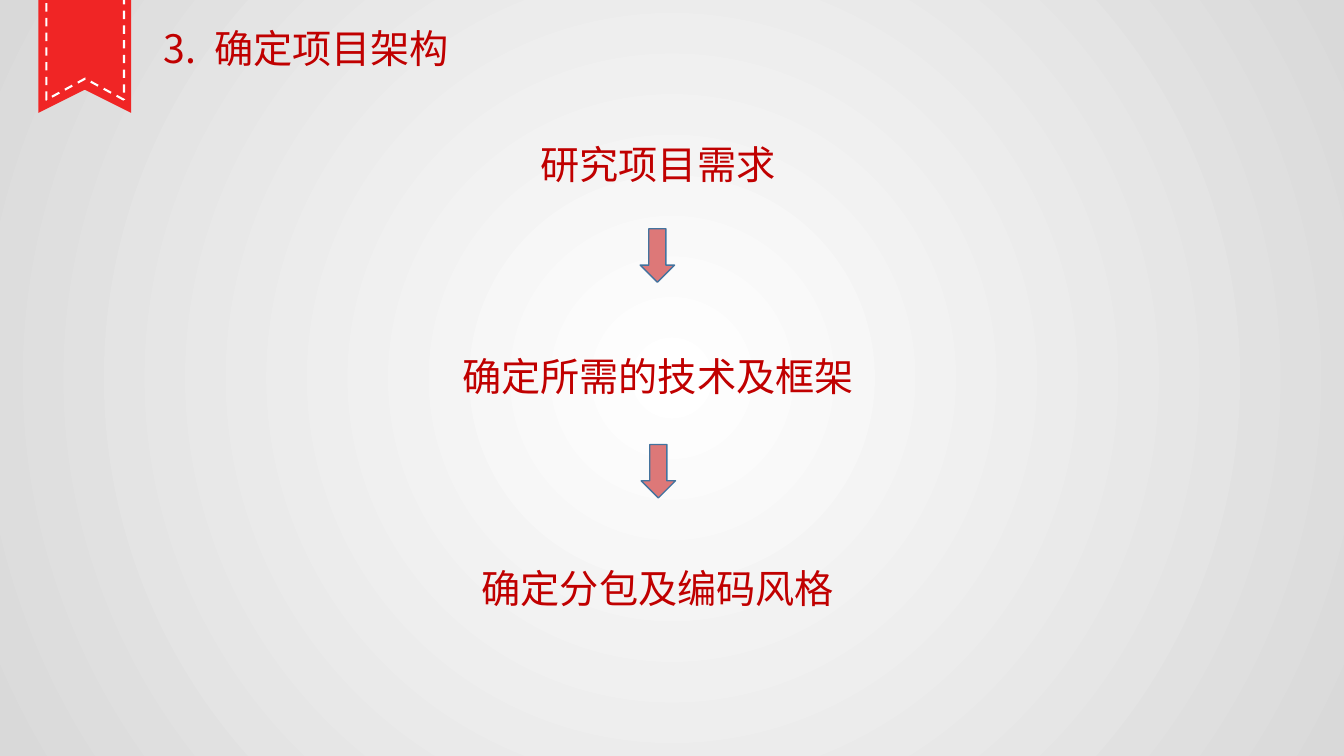
"""Build the slide on settling the project architecture."""
from dataclasses import dataclass

from lxml.etree import SubElement
from pptx import Presentation
from pptx.dml.color import RGBColor as Rgb
from pptx.enum.dml import MSO_LINE_DASH_STYLE as Dash
from pptx.enum.shapes import MSO_SHAPE as Preset
from pptx.enum.text import MSO_AUTO_SIZE as AutoSize, PP_ALIGN as Align
from pptx.oxml.ns import qn
from pptx.util import Inches, Pt

COLORS = {
    "ribbon": "F02525",
    "stitch": "FFFFFF",
    "text": "C00000",
    "arrow": "DD7878",
    "arrow_line": "43739E",
    "center": "FFFFFF",
    "edge": "D9D9D9",
}
FONT = "Noto Sans CJK SC"
TEXT_FORMAT = {"size": Pt(28), "name": FONT}
STEPS = ["研究项目需求", "确定所需的技术及框架", "确定分包及编码风格"]


@dataclass
class Band:
    """Notched ribbon outline, with an optional fill or dashed line."""
    left: float
    right: float
    top: float
    bottom: float
    notch: float
    fill: str = ""
    line: str = ""


@dataclass
class Label:
    """Text box whose paragraphs are lists of spans."""
    left: float
    top: float
    width: float
    height: float
    lines: list[list[str]]
    format: dict


@dataclass
class Arrow:
    """Position of a downward arrow."""
    left: float
    top: float


BANDS = [
    Band(0.38, 1.3, -2.38, 1.12, 0.89, fill="ribbon"),
    Band(0.46, 1.23, -2.28, 0.99, 0.78, line="stitch"),
]
LABELS = [
    Label(1.44, 0.19, 3.2, 0.57, [["3.", " ", "确定项目架构"]], {}),
    Label(3.77, 1.11, 5.51, 5.05, [[step] for step in STEPS],
          {"line_spacing": 1.5, "space_before": Pt(101)}),
]
ARROWS = [Arrow(6.35, 2.27), Arrow(6.36, 4.41)]


def color(name: str) -> Rgb:
    """Look up a named colour."""
    return Rgb.from_string(COLORS[name])


def paint(shape, fill: str, line: str, width: float) -> None:
    """Set fill and line, and remove the shadow."""
    shape.shadow.inherit = False
    if fill:
        shape.fill.solid()
        shape.fill.fore_color.rgb = color(fill)
    else:
        shape.fill.background()
    if line:
        shape.line.color.rgb = color(line)
        shape.line.width = Pt(width)
    else:
        shape.line.fill.background()


def draw_background(page) -> None:
    """Fill the page with a radial gradient."""
    fill = page.background.fill
    fill.gradient()
    for stop, name in zip(fill.gradient_stops, ("center", "edge")):
        stop.color.rgb = color(name)
    gradient = next(page.element.iter(qn("a:gradFill")))
    gradient.remove(gradient.find(qn("a:lin")))
    circle = SubElement(gradient, qn("a:path"), {"path": "circle"})
    SubElement(circle, qn("a:fillToRect"), dict.fromkeys("ltrb", "50000"))


def draw_band(group, band: Band) -> None:
    """Draw one ribbon outline inside the group."""
    middle = (band.left + band.right) / 2
    points = [(middle, band.notch), (band.left, band.bottom), (band.left, band.top),
              (band.right, band.top)]
    builder = group.shapes.build_freeform(
        Inches(band.right), Inches(band.bottom))
    builder.add_line_segments([(Inches(x), Inches(y)) for x, y in points])
    shape = builder.convert_to_shape()
    paint(shape, band.fill, band.line, 1.5)
    if band.line:
        shape.line.dash_style = Dash.DASH


def draw_label(page, label: Label) -> None:
    """Draw a centred text box."""
    box = page.shapes.add_textbox(
        Inches(label.left), Inches(label.top), Inches(label.width), Inches(label.height))
    frame = box.text_frame
    frame.word_wrap = True
    frame.auto_size = AutoSize.SHAPE_TO_FIT_TEXT
    for index, spans in enumerate(label.lines):
        para = frame.add_paragraph() if index else frame.paragraphs[0]
        para.alignment = Align.CENTER
        for key, value in label.format.items():
            if index or key != "space_before":
                setattr(para, key, value)
        for text in spans:
            span = para.add_run()
            span.text = text
            for key, value in TEXT_FORMAT.items():
                setattr(span.font, key, value)
            span.font.color.rgb = color("text")
    for properties in box.element.iter(qn("a:rPr")):
        SubElement(properties, qn("a:ea"), {"typeface": FONT})
        if properties.getparent().text == " ":
            properties.set("spc", "630")


def draw_arrow(page, arrow: Arrow) -> None:
    """Draw a downward arrow between two steps."""
    shape = page.shapes.add_shape(
        Preset.DOWN_ARROW, Inches(arrow.left), Inches(arrow.top), Inches(0.34), Inches(0.53))
    paint(shape, "arrow", "arrow_line", 1)


def main() -> None:
    """Assemble and save the deck."""
    deck = Presentation()
    deck.slide_width, deck.slide_height = Inches(13.33), Inches(7.5)
    page = deck.slides.add_slide(deck.slide_layouts[6])
    draw_background(page)
    ribbon = page.shapes.add_group_shape()
    for band in BANDS:
        draw_band(ribbon, band)
    for label in LABELS:
        draw_label(page, label)
    for arrow in ARROWS:
        draw_arrow(page, arrow)
    deck.save("out.pptx")


if __name__ == "__main__":
    main()
